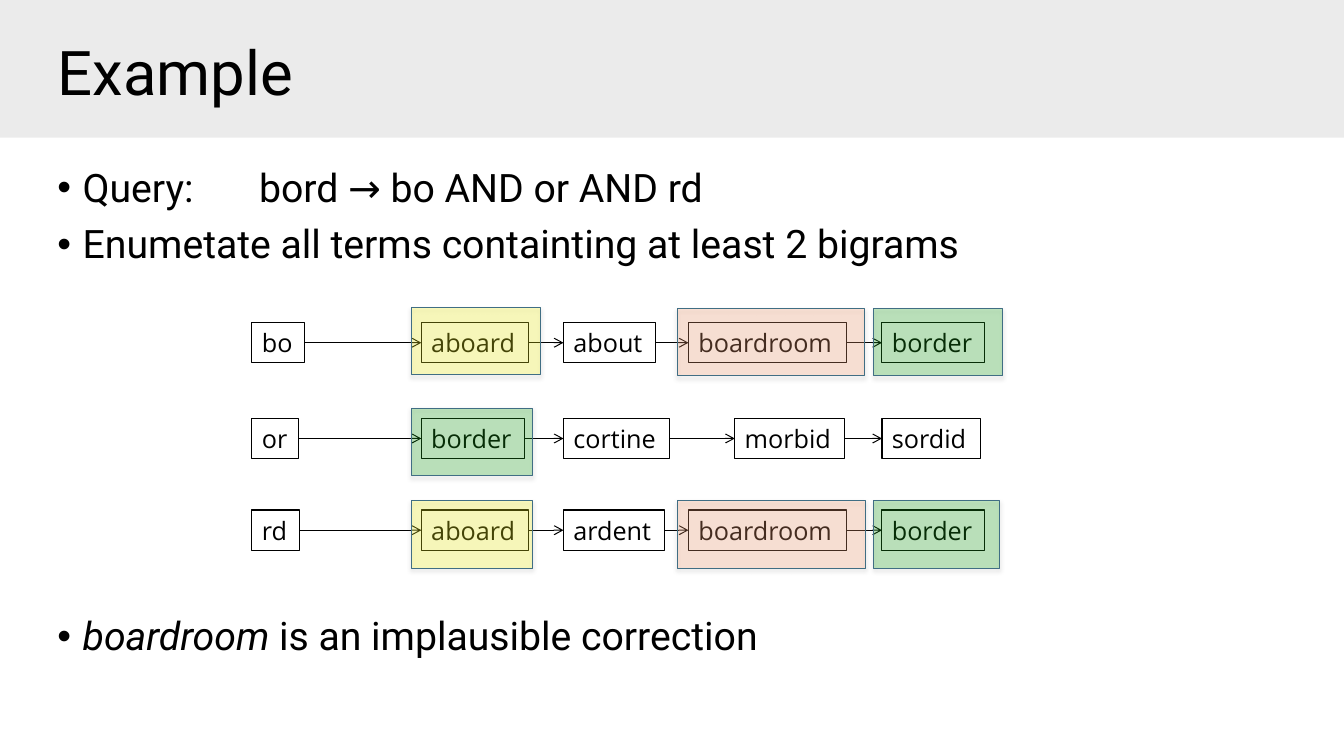
from dataclasses import dataclass
from itertools import pairwise
from lxml.etree import SubElement
from pptx import Presentation
from pptx.dml.color import RGBColor
from pptx.enum.shapes import MSO_CONNECTOR, MSO_SHAPE
from pptx.enum.text import MSO_ANCHOR, MSO_AUTO_SIZE, PP_ALIGN
from pptx.oxml import parse_xml
from pptx.oxml.ns import nsdecls, qn
from pptx.shapes.autoshape import Shape
from pptx.util import Inches, Pt

WIDE, HIGH = Inches(13.33), Inches(7.5)
COLS, ROWS = 160, 90
TALL = 4.8
GLOW = 8.04
INK, EDGE = "000000", "406E84"
YELLOW, ORANGE, GREEN = "FFFF00", "FF9966", "00A000"
SPAN = {
    "bo": 6.24, "or": 5.52, "rd": 5.64, "aboard": 12.72, "about": 10.92,
    "boardroom": 18.84, "border": 12.24, "cortine": 12.65, "morbid": 13.08,
    "sordid": 11.76, "ardent": 12,
}


@dataclass(frozen=True)
class Term:
    word: str
    col: float


@dataclass(frozen=True)
class Chain:
    row: float
    terms: tuple[Term, ...]


@dataclass(frozen=True)
class Halo:
    col: float
    row: float
    span: float
    fill: str


@dataclass(frozen=True)
class Point:
    runs: tuple[tuple[str, bool], ...]
    gap: int


def chain(row: float, words: str, cols: tuple[float, ...]) -> Chain:
    return Chain(row, tuple(map(Term, words.split(), cols)))


WITH_ROOM = (30, 50.16, 67.08, 81.96, 105)
CHAINS = (
    chain(38.4, "bo aboard about boardroom border", WITH_ROOM),
    chain(49.8, "or border cortine morbid sordid", (30, 50.16, 67.08, 87.48, 105)),
    chain(60.72, "rd aboard ardent boardroom border", WITH_ROOM),
)
HALOS = (
    Halo(80.64, 36.72, 22.32, ORANGE),
    Halo(104.04, 36.72, 15.36, GREEN),
    Halo(80.64, 59.64, 22.44, ORANGE),
    Halo(104.04, 59.64, 15, GREEN),
    Halo(48.96, 59.64, 14.4, YELLOW),
    Halo(48.96, 48.6, 14.4, GREEN),
    Halo(48.96, 36.6, 15.36, YELLOW),
)
POINTS = (
    Point((("Query:\tbord → bo AND or AND rd", False),), 0),
    Point((("Enumetate all terms containting at least 2 bigrams", False),), 10),
    Point((("boardroom", True), (" is an implausible correction", False)), 250),
)


def color(code: str) -> RGBColor:
    return RGBColor.from_string(code)


def across(cols: float) -> int:
    return round(WIDE * cols / COLS)


def down(rows: float) -> int:
    return round(HIGH * rows / ROWS)


def place(shape, col: float, row: float, span: float, tall: float) -> None:
    shape.left, shape.top = across(col), down(row)
    shape.width, shape.height = across(span), down(tall)


def style(font, name: str, size: int) -> None:
    font.name, font.size = name, Pt(size)
    font.color.rgb = color(INK)


def add_box(slide, col: float, row: float, span: float, tall: float) -> Shape:
    box = slide.shapes.add_shape(
        MSO_SHAPE.RECTANGLE, across(col), down(row), across(span), down(tall))
    box.shadow.inherit = False
    return box


def tint(box: Shape, code: str, alpha: int) -> None:
    box.fill.solid()
    box.fill.fore_color.rgb = color(code)
    tone = box.fill._xPr.find(qn("a:solidFill"))[0]
    SubElement(tone, qn("a:alpha"), val=str(alpha * 1000))


def outline(line, code: str) -> None:
    line.color.rgb = color(code)
    line.width = Pt(0.75)


def add_band(slide) -> None:
    band = add_box(slide, 0, 0, COLS, 16.4)
    tint(band, "A6A6A6", 22)
    band.line.fill.background()
    band._element.getparent().insert(2, band._element)


def add_title(slide) -> None:
    title = slide.shapes.title
    place(title, 5.64, 4.32, 148.56, 9.36)
    frame = title.text_frame
    frame.text = "Example"
    frame.auto_size = MSO_AUTO_SIZE.NONE
    frame.vertical_anchor = MSO_ANCHOR.MIDDLE
    para = frame.paragraphs[0]
    para.alignment = PP_ALIGN.LEFT
    para.line_spacing = 0.9
    style(para.font, "Roboto", 44)


def add_list(slide) -> None:
    body = slide.placeholders[1]
    place(body, 5.64, 19.44, 148.56, 66.48)
    frame = body.text_frame
    frame.auto_size = MSO_AUTO_SIZE.NONE
    for spot, point in enumerate(POINTS):
        para = frame.add_paragraph() if spot else frame.paragraphs[0]
        props = para._p.get_or_add_pPr()
        props.set("marL", str(Inches(0.25)))
        props.set("indent", str(-Inches(0.25)))
        SubElement(props, qn("a:buFont"), typeface="Arial")
        SubElement(props, qn("a:buChar"), char="•")
        tabs = SubElement(props, qn("a:tabLst"))
        SubElement(tabs, qn("a:tab"), pos=str(Inches(2)), algn="l")
        para.line_spacing = 0.9
        para.space_before = Pt(point.gap)
        style(para.font, "Roboto", 28)
        for text, slant in point.runs:
            run = para.add_run()
            run.text = text
            if slant:
                run.font.italic = True


def add_term(slide, term: Term, row: float) -> Shape:
    box = add_box(slide, term.col, row, SPAN[term.word], TALL)
    box.fill.background()
    outline(box.line, INK)
    frame = box.text_frame
    frame.text = term.word
    frame.word_wrap = False
    frame.auto_size = MSO_AUTO_SIZE.SHAPE_TO_FIT_TEXT
    para = frame.paragraphs[0]
    para.alignment = PP_ALIGN.LEFT
    style(para.font, "Open Sans", 18)
    return box


def add_arrow(slide, start: Shape, end: Shape) -> None:
    arrow = slide.shapes.add_connector(MSO_CONNECTOR.STRAIGHT, 0, 0, 0, 0)
    arrow.begin_connect(start, 3)
    arrow.end_connect(end, 1)
    outline(arrow.line, INK)
    SubElement(arrow.line._get_or_add_ln(), qn("a:tailEnd"), type="arrow")
    SubElement(arrow._element.spPr, qn("a:effectLst"))


def add_halo(slide, halo: Halo) -> None:
    box = add_box(slide, halo.col, halo.row, halo.span, GLOW)
    tint(box, halo.fill, 24)
    outline(box.line, EDGE)
    glow = box._element.spPr.find(qn("a:effectLst"))
    glow.append(parse_xml(
        f'<a:outerShdw {nsdecls("a")} blurRad="39370" dist="22860" dir="5400000" '
        'rotWithShape="0"><a:srgbClr val="808080"><a:alpha val="35000"/>'
        '</a:srgbClr></a:outerShdw>'))


def main() -> None:
    deck = Presentation()
    deck.slide_width, deck.slide_height = WIDE, HIGH
    slide = deck.slides.add_slide(deck.slide_layouts[1])
    add_band(slide)
    add_title(slide)
    add_list(slide)
    for line in CHAINS:
        boxes = [add_term(slide, term, line.row) for term in line.terms]
        for start, end in pairwise(boxes):
            add_arrow(slide, start, end)
    for halo in HALOS:
        add_halo(slide, halo)
    deck.save("out.pptx")


if __name__ == "__main__":
    main()
